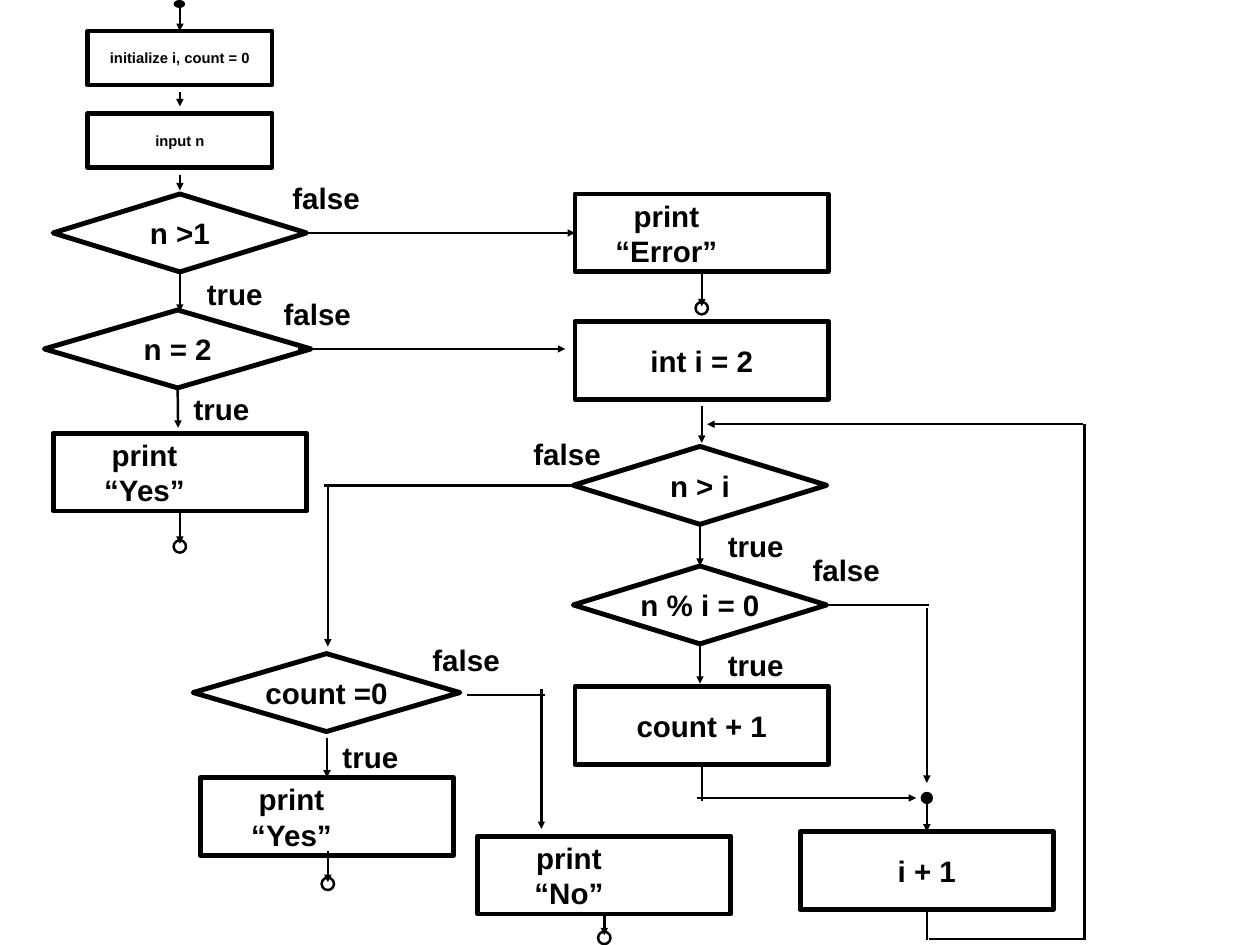
from dataclasses import dataclass

from lxml.etree import SubElement
from pptx import Presentation
from pptx.dml.color import RGBColor
from pptx.enum.shapes import MSO_CONNECTOR, MSO_SHAPE
from pptx.enum.text import MSO_ANCHOR, PP_ALIGN
from pptx.oxml.ns import qn
from pptx.util import Emu, Pt

EMU_PER_PX = 9144  # 100 px to the inch
TOP, LEFT, BOTTOM, RIGHT = range(4)
BLOCK_W, BLOCK_H = 286, 88
DOT = 14


@dataclass(frozen=True)
class Theme:
    ink: RGBColor = RGBColor(0, 0, 0)
    paper: RGBColor = RGBColor(255, 255, 255)
    font: str = "Arial"
    text: int = 24
    small: int = 12
    outline: int = 4
    line: int = 2


THEME = Theme()


def px(length):
    return Emu(length * EMU_PER_PX)


def write(shape, text, *, size=THEME.text, wrap=False, left=6, right=6):
    """Set centred bold text in a shape."""
    frame = shape.text_frame
    frame.word_wrap = wrap
    frame.vertical_anchor = MSO_ANCHOR.MIDDLE
    frame.margin_left, frame.margin_right = px(left), px(right)
    frame.margin_top = frame.margin_bottom = px(6)
    paragraph = frame.paragraphs[0]
    paragraph.alignment = PP_ALIGN.CENTER
    run = paragraph.add_run()
    run.text = text
    run.font.name = THEME.font
    run.font.size = Pt(size)
    run.font.bold = True
    run.font.color.rgb = THEME.ink


def add_node(slide, kind, x, y, width, height, *, fill=THEME.paper, weight=THEME.outline):
    node = slide.shapes.add_shape(kind, px(x), px(y), px(width), px(height))
    node.shadow.inherit = False
    node.fill.solid()
    node.fill.fore_color.rgb = fill
    if weight:
        node.line.color.rgb = THEME.ink
        node.line.width = Pt(weight)
    else:
        node.line.fill.background()
    return node


def add_process(slide, text, x, y, width=BLOCK_W, height=BLOCK_H, **text_format):
    process = add_node(slide, MSO_SHAPE.RECTANGLE, x, y, width, height)
    write(process, text, **text_format)
    return process


def add_output(slide, text, x, y):
    """A print step: its text wraps in a narrow column left of centre."""
    return add_process(slide, text, x, y, wrap=True, left=43, right=123)


def add_decision(slide, text, x, y, width=BLOCK_W):
    decision = add_node(slide, MSO_SHAPE.DIAMOND, x, y, width, BLOCK_H)
    write(decision, text, left=0, right=0)
    return decision


def add_dot(slide, x, y, width=DOT, height=DOT):
    add_node(slide, MSO_SHAPE.OVAL, x, y, width, height, fill=THEME.ink, weight=0)


def add_terminal(slide, x, y):
    add_node(slide, MSO_SHAPE.OVAL, x, y, DOT, DOT, weight=THEME.line)


def add_branch_label(slide, text, x, y, width):
    label = slide.shapes.add_textbox(px(x), px(y), px(width), px(50))
    write(label, text)


def add_flow(slide, start, end, arrow=True):
    """Draw a line; each end is an (x, y) point or a (shape, side) joint."""
    points = [(0, 0) if not isinstance(e[0], int) else e for e in (start, end)]
    flow = slide.shapes.add_connector(
        MSO_CONNECTOR.STRAIGHT, *(px(v) for point in points for v in point))
    for joint, connect in ((start, flow.begin_connect), (end, flow.end_connect)):
        if not isinstance(joint[0], int):
            connect(*joint)
    flow.line.color.rgb = THEME.ink
    flow.line.width = Pt(THEME.line)
    properties = flow._element.spPr
    if arrow:
        SubElement(properties.find(qn("a:ln")), qn("a:tailEnd"), type="triangle")
    SubElement(properties, qn("a:effectLst"))


def main():
    prs = Presentation()
    prs.slide_width, prs.slide_height = px(1422), px(1067)
    slide = prs.slides.add_slide(prs.slide_layouts[6])

    # Steps
    initialize = add_process(slide, "initialize i, count = 0", 99, 35, 208, 61, size=THEME.small)
    add_process(slide, "input n", 99, 128, 208, 61, size=THEME.small)
    set_i = add_process(slide, "int i = 2", 649, 363)
    add_count = add_process(slide, "count + 1", 649, 775)
    add_i = add_process(slide, "i + 1", 903, 939)
    yes_two = add_output(slide, "print “Yes”", 60, 489)
    error = add_output(slide, "print “Error”", 649, 219)
    yes_prime = add_output(slide, "print “Yes”", 226, 878)
    no_prime = add_output(slide, "print “No”", 539, 944)

    # Decisions
    above_one = add_decision(slide, "n >1", 60, 219)
    is_two = add_decision(slide, "n = 2", 50, 350, 301)
    above_i = add_decision(slide, "n > i", 647, 504)
    divisible = add_decision(slide, "n % i = 0", 647, 639)
    add_decision(slide, "count =0", 218, 738, 301)

    # Start, merge and end points
    add_dot(slide, 196, 0, 13, 9)
    add_dot(slide, 1039, 894)
    for x, y in ((196, 610), (363, 991), (675, 1052), (785, 341)):
        add_terminal(slide, x, y)

    # Branch labels
    for x, y in ((324, 198), (314, 329), (596, 487), (911, 618), (482, 720)):
        add_branch_label(slide, "false", x, y, 88)
    for x, y in ((227, 307), (212, 437), (815, 591), (815, 726), (380, 829)):
        add_branch_label(slide, "true", x, y, 76)

    # Arrows
    arrows = (
        ((203, 8), (initialize, TOP)),
        ((203, 104), (203, 120)),
        ((203, 198), (203, 215)),
        ((above_one, RIGHT), (error, LEFT)),
        ((above_one, BOTTOM), (203, 352)),
        ((336, 394), (638, 394)),
        ((is_two, BOTTOM), (201, 483)),
        ((yes_two, BOTTOM), (203, 614)),
        ((error, BOTTOM), (792, 346)),
        ((792, 459), (792, 500)),
        ((above_i, BOTTOM), (divisible, TOP)),
        ((divisible, BOTTOM), (790, 772)),
        ((370, 547), (370, 730)),
        ((369, 833), (yes_prime, TOP)),
        ((370, 961), (370, 996)),
        ((611, 778), (611, 936)),
        ((no_prime, BOTTOM), (682, 1056)),
        ((787, 901), (1034, 901)),
        ((1046, 687), (1046, 884)),
        ((1046, 901), (add_i, TOP)),
        ((1222, 479), (798, 479)),
    )
    for start, end in arrows:
        add_flow(slide, start, end)

    # Plain lines that lead into the arrows
    lines = (
        ((366, 548), (above_i, LEFT)),
        ((527, 785), (615, 785)),
        ((divisible, RIGHT), (1048, 683)),
        ((add_count, BOTTOM), (792, 904)),
        ((add_i, BOTTOM), (1046, 1061)),
        ((1049, 1060), (1223, 1060)),
        ((1224, 1061), (1224, 479)),
    )
    for start, end in lines:
        add_flow(slide, start, end, arrow=False)

    prs.save("out.pptx")


if __name__ == "__main__":
    main()
